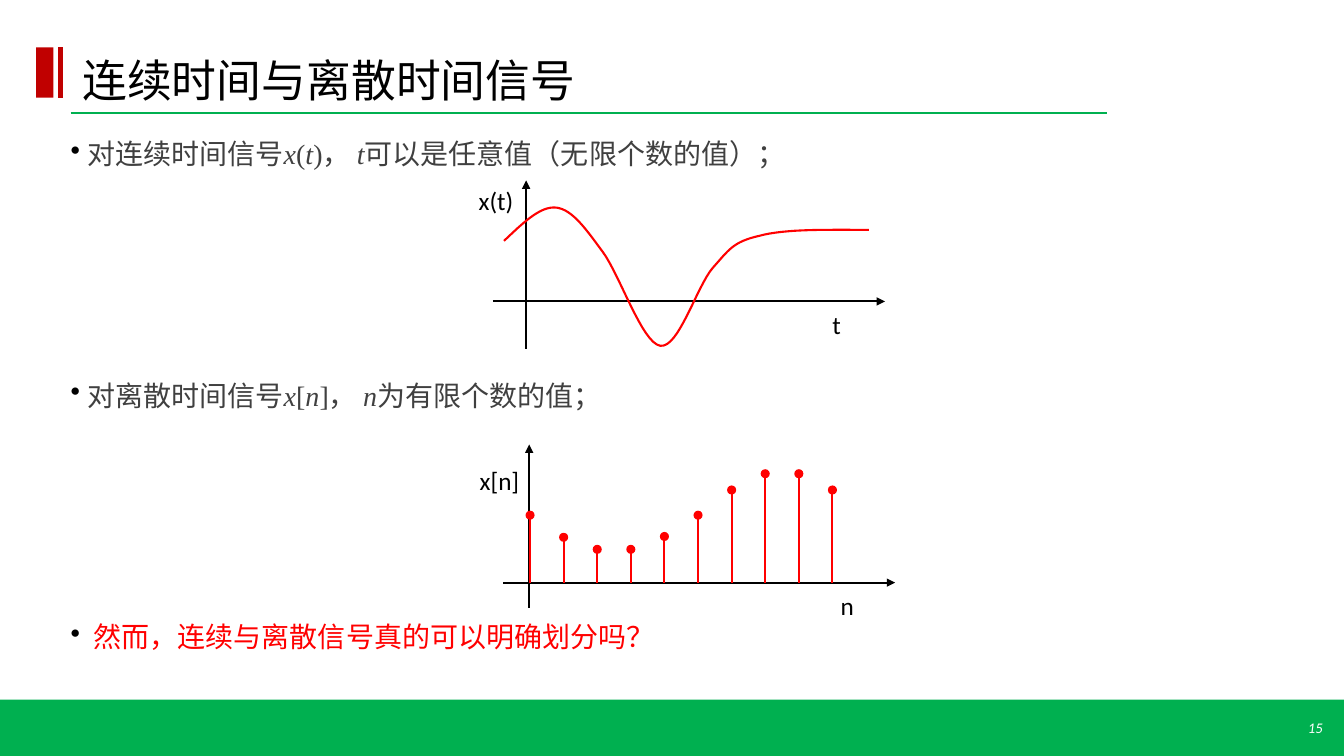
from lxml import etree
from pptx import Presentation
from pptx.dml.color import RGBColor
from pptx.enum.shapes import MSO_CONNECTOR, MSO_SHAPE
from pptx.enum.text import MSO_ANCHOR, PP_ALIGN
from pptx.oxml.ns import qn
from pptx.util import Pt

RECT, OVAL = MSO_SHAPE.RECTANGLE, MSO_SHAPE.OVAL
LINE = MSO_CONNECTOR.STRAIGHT
TOP, MID, BASE = MSO_ANCHOR.TOP, MSO_ANCHOR.MIDDLE, MSO_ANCHOR.BOTTOM
LEFT, RIGHT = PP_ALIGN.LEFT, PP_ALIGN.RIGHT
SANS, SERIF = "Calibri", "Times New Roman"
HEX = {"green": "00B050", "dark": "C00000", "red": "FF0000",
       "black": "000000", "gray": "404040", "white": "FFFFFF"}
RGB = {name: RGBColor.from_string(code) for name, code in HEX.items()}

deck = Presentation()
deck.slide_width, deck.slide_height = Pt(960), Pt(540)
slide = deck.slides.add_slide(deck.slide_layouts[6])
shapes = slide.shapes


def add_line(x1, y1, x2, y2, color, width=1.5, arrow=False):
    line = shapes.add_connector(LINE, Pt(x1), Pt(y1), Pt(x2), Pt(y2))
    line.line.color.rgb = RGB[color]
    line.line.width = Pt(width)
    if arrow:
        etree.SubElement(line.line._get_or_add_ln(), qn("a:tailEnd"), type="triangle")
    etree.SubElement(line._element.spPr, qn("a:effectLst"))


def add_text(text, x, y, w, h, size, color="black", anchor=TOP, align=LEFT, wrap=True):
    frame = shapes.add_textbox(Pt(x), Pt(y), Pt(w), Pt(h)).text_frame
    frame.word_wrap = wrap
    frame.vertical_anchor = anchor
    frame.text = text
    par = frame.paragraphs[0]
    par.alignment = align
    font = par.runs[0].font
    font.name, font.size, font.color.rgb = SANS, Pt(size), RGB[color]
    return par


# Title and page number
title = add_text("连续时间与离散时间信号", 51.8, 18, 738.7, 61.9, 32, anchor=BASE)
title.line_spacing = 0.85
page = add_text("15", 848.9, 505.4, 103, 28.8, 10.5, "white", MID, RIGHT)
page.runs[0].font.italic = True

# Body: italic and upright runs, text indent, colour
points = [
    ([("对连续时间信号", False), ("x", True), ("(", False), ("t", True), (")，", False),
      (" t", True), ("可以是任意值（无限个数的值）；", False)], 12, "gray"),
    ([("对离散时间信号", False), ("x", True), ("[", False), ("n", True), ("]，", False),
      (" n", True), ("为有限个数的值；", False)], 12, "gray"),
    ([("然而，连续与离散信号真的可以明确划分吗？", False)], 16.5, "red"),
]
body = shapes.add_textbox(Pt(50.4), Pt(96.5), Pt(873.4), Pt(375.8)).text_frame
body.word_wrap = True
body.margin_left = body.margin_right = 0
for row, (parts, indent, color) in enumerate(points):
    par = body.add_paragraph() if row else body.paragraphs[0]
    props = par._p.get_or_add_pPr()
    props.set("marL", str(Pt(indent)))
    props.set("indent", str(-Pt(indent)))
    tint = etree.SubElement(props, qn("a:buClr"))
    etree.SubElement(tint, qn("a:srgbClr"), val=HEX["black"])
    etree.SubElement(props, qn("a:buChar"), char="•")
    par.line_spacing = 0.9
    par.space_before = Pt(150 if row else 0)
    par.space_after = Pt(1.1)
    for text, slant in parts:
        run = par.add_run()
        run.text = text
        font = run.font
        font.name, font.size, font.italic = SERIF, Pt(20), slant
        font.color.rgb = RGB[color]

# Title rules
add_line(50.4, 80.6, 790.6, 80.6, "green")
add_line(43.2, 33.8, 43.2, 69.8, "dark", 3)

# Axes and their labels
for axis in [(352.1, 215.3, 632.2, 215.3), (375.8, 249.1, 375.8, 128.9),
             (359.3, 416.2, 639.4, 416.2), (378, 434.2, 378, 317.5)]:
    add_line(*axis, "black", arrow=True)
for text, x, y, w in [("x(t)", 334.8, 128.9, 42.5), ("t", 587.5, 217.4, 20.2),
                      ("x[n]", 335.5, 329, 49), ("n", 593.3, 418.3, 20.9)]:
    add_text(text, x, y, w, 28.8, 18, wrap=False)

# Continuous signal: cubic arcs, two handles and an end point each
start = (360, 172.1)
arcs = [((373, 159.8), (385.9, 146.9), (397.4, 148.3)),
        ((409, 149.8), (418.3, 163.4), (430.6, 180)),
        ((442.8, 196.6), (458.6, 244.8), (471.6, 247)),
        ((484.6, 249.1), (497.5, 205.2), (509, 191.5)),
        ((520.6, 178.6), (523.4, 172.8), (542.2, 168.5)),
        ((560.9, 163.4), (590.4, 164.2), (620.6, 164.2))]
STEPS = 16
trace = []
last = start
for arc in arcs:
    for step in range(1, STEPS + 1):
        t = step / STEPS
        u = 1 - t
        trace.append([Pt(u**3 * a + 3 * u * u * t * b + 3 * u * t * t * c + t**3 * d)
                      for a, b, c, d in zip(last, *arc)])
    last = arc[-1]
pen = shapes.build_freeform(Pt(start[0]), Pt(start[1]))
pen.add_line_segments(trace, close=False)
wave = pen.convert_to_shape()
wave.shadow.inherit = False
wave.fill.background()
wave.line.color.rgb = RGB["red"]
wave.line.width = Pt(1.5)

# Discrete signal: stems at equal steps, each with a dot
solids = [(RECT, 0, 499.7, 960, 40.3, "green"), (RECT, 25.9, 33.8, 12.2, 36, "dark")]
DOT = 6.5
tips = [368, 383.8, 392.4, 392.4, 383.2, 368, 350, 338.4, 338.4, 350]
for n, tip in enumerate(tips):
    x = 378.6 + 24 * n
    add_line(x, 416.2, x, tip, "red")
    solids.append((OVAL, x - DOT / 2, tip - DOT / 2, DOT, DOT, "red"))

# Footer band, title bar and dots
for kind, x, y, w, h, color in solids:
    solid = shapes.add_shape(kind, Pt(x), Pt(y), Pt(w), Pt(h))
    solid.shadow.inherit = False
    solid.fill.solid()
    solid.fill.fore_color.rgb = RGB[color]
    solid.line.fill.background()

# The band lies behind the page number
band = next(s for s in shapes if s.width == deck.slide_width)
shapes._spTree.insert(2, band._element)

deck.save("out.pptx")
